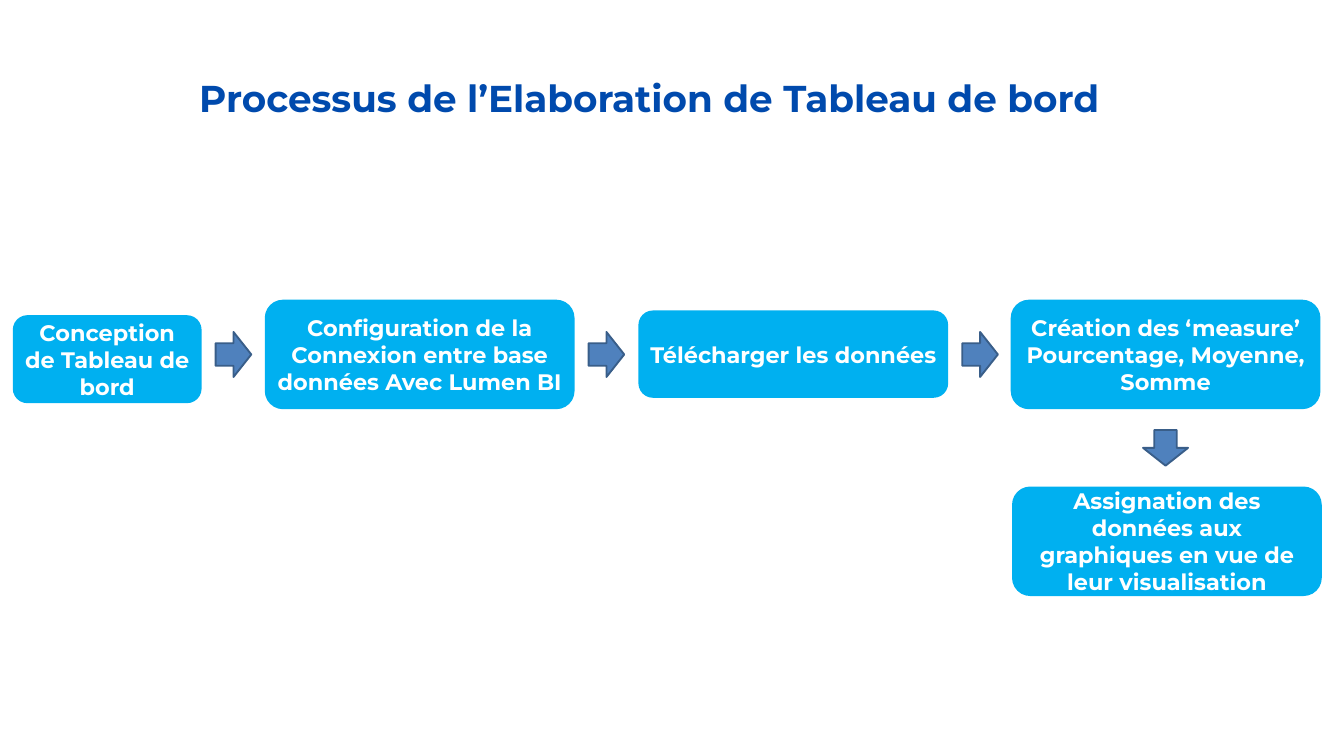
import pptx
import pptx.dml.color
import pptx.enum.shapes
import pptx.enum.text
import pptx.util
from pptx.util import Inches

TITLE_BLUE = pptx.dml.color.RGBColor(0x00, 0x4A, 0xAD)
STEP_BLUE = pptx.dml.color.RGBColor(0x00, 0xB0, 0xF0)
ARROW_FILL = pptx.dml.color.RGBColor(0x4F, 0x81, 0xBD)
ARROW_LINE = pptx.dml.color.RGBColor(0x39, 0x5E, 0x89)
WHITE = pptx.dml.color.RGBColor(0xFF, 0xFF, 0xFF)
SHAPES = pptx.enum.shapes.MSO_SHAPE


def style_paragraph(paragraph, size, color):
    paragraph.alignment = pptx.enum.text.PP_ALIGN.CENTER
    paragraph.font.name = "Montserrat"
    paragraph.font.size = pptx.util.Pt(size)
    paragraph.font.bold = True
    paragraph.font.color.rgb = color


presentation = pptx.Presentation()
presentation.slide_width = Inches(20)
presentation.slide_height = Inches(11.25)
slide = presentation.slides.add_slide(presentation.slide_layouts[6])

# Title
title = slide.shapes.add_textbox(Inches(1.95), Inches(0.29), Inches(15.42), Inches(1.06))
title_frame = title.text_frame
title_frame.word_wrap = True
title_frame.margin_left = title_frame.margin_right = 0
title_frame.margin_top = title_frame.margin_bottom = 0
title_frame.text = "Processus de l’Elaboration de Tableau de bord"
title_frame.paragraphs[0].line_spacing = 2.25
style_paragraph(title_frame.paragraphs[0], 40, TITLE_BLUE)

# Process steps: left, top, width, height, text
steps = [
    (0.19, 4.69, 2.81, 1.31, "Conception de Tableau de bord"),
    (3.94, 4.46, 4.61, 1.63, "Configuration de la Connexion entre base données Avec Lumen BI"),
    (9.5, 4.62, 4.61, 1.3, "Télécharger les données"),
    (15.04, 4.46, 4.61, 1.63, "Création des ‘measure’\nPourcentage, Moyenne, Somme"),
    (15.06, 7.24, 4.61, 1.63, "Assignation des données aux graphiques en vue de leur visualisation"),
]
for left, top, width, height, text in steps:
    step = slide.shapes.add_shape(
        SHAPES.ROUNDED_RECTANGLE, Inches(left), Inches(top), Inches(width), Inches(height))
    step.shadow.inherit = False
    step.fill.solid()
    step.fill.fore_color.rgb = STEP_BLUE
    step.line.fill.background()
    step.text_frame.word_wrap = True
    step.text_frame.vertical_anchor = pptx.enum.text.MSO_ANCHOR.MIDDLE
    step.text_frame.text = text
    for paragraph in step.text_frame.paragraphs:
        style_paragraph(paragraph, 24, WHITE)

# Arrows between steps: left, top, rotation (270 points right)
arrows = [(3.14, 5.01, 270), (8.69, 5.01, 270), (14.25, 5.01, 270), (17.01, 6.4, 0)]
for left, top, rotation in arrows:
    arrow = slide.shapes.add_shape(
        SHAPES.DOWN_ARROW, Inches(left), Inches(top), Inches(0.67), Inches(0.53))
    arrow.rotation = rotation
    arrow.shadow.inherit = False
    arrow.fill.solid()
    arrow.fill.fore_color.rgb = ARROW_FILL
    arrow.line.color.rgb = ARROW_LINE
    arrow.line.width = pptx.util.Pt(2)

presentation.save("out.pptx")
